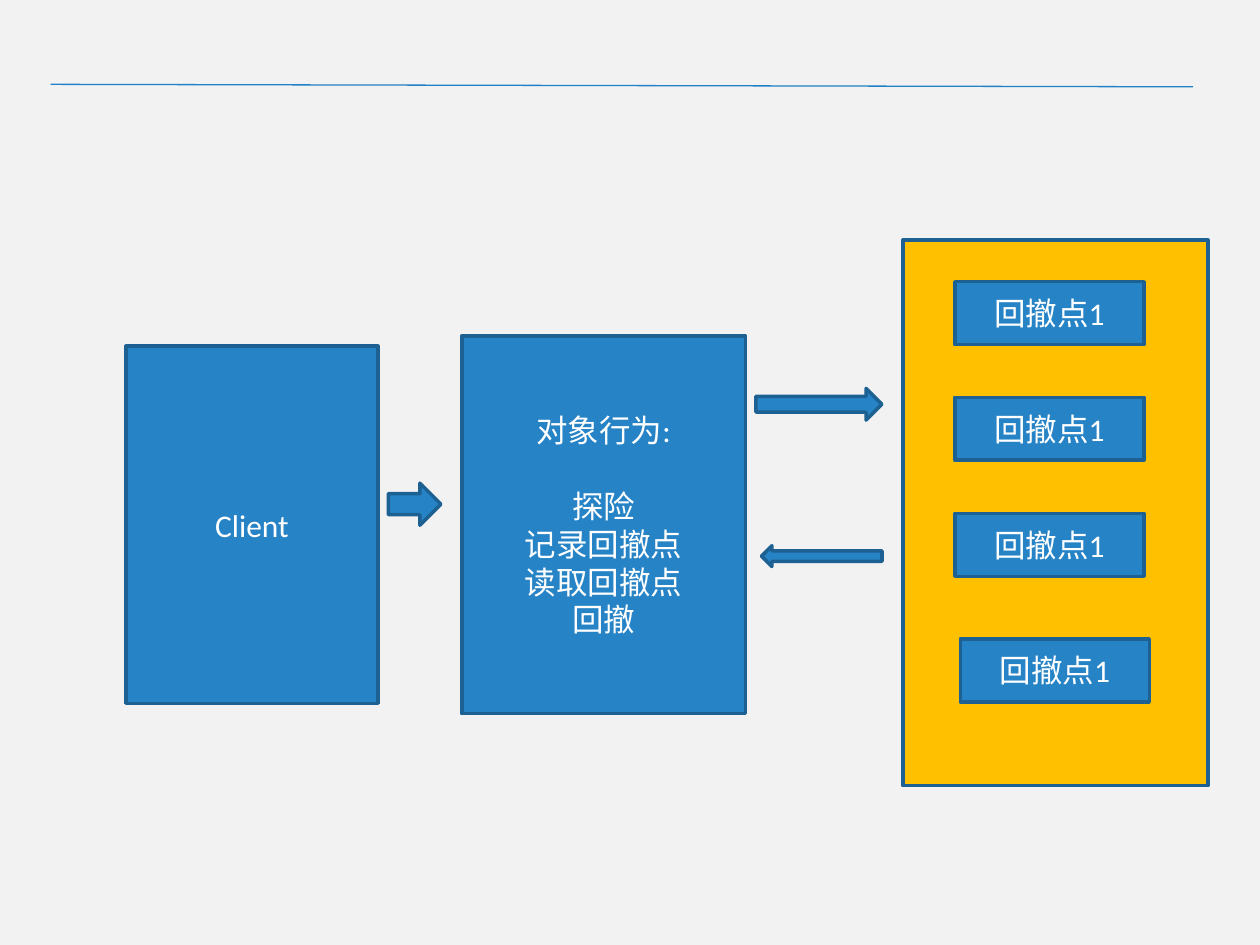
from pptx import Presentation
from pptx.dml.color import RGBColor
from pptx.enum.shapes import MSO_CONNECTOR, MSO_SHAPE
from pptx.enum.text import MSO_ANCHOR, PP_ALIGN
from pptx.oxml.ns import qn
from pptx.util import Cm, Pt
from lxml import etree

RECTANGLE, ARROW = MSO_SHAPE.RECTANGLE, MSO_SHAPE.RIGHT_ARROW
STRAIGHT = MSO_CONNECTOR.STRAIGHT
MIDDLE, CENTER = MSO_ANCHOR.MIDDLE, PP_ALIGN.CENTER

THEME = {
    "background": "F2F2F2", "rule": "2181C6", "fill": "2683C6",
    "outline": "1C6192", "store": "FFC000", "text": "FFFFFF",
    "font": "Calibri", "size": 18, "outline_width": 2, "rule_width": 0.75,
}

# Content: places are left, top, width, height in centimetres
RULE = (1.02, 1.7, 24.05, 1.75)
CLIENT = ("Client", (2.54, 6.98, 5.08, 7.2))
ORIGINATOR_TITLE = "对象行为:"
ORIGINATOR_ACTIONS = ["探险", "记录回撤点", "读取回撤点", "回撤"]
ORIGINATOR_PLACE = (9.31, 6.77, 5.72, 7.62)
STORE_PLACE = (18.2, 4.84, 6.15, 11)
SAVE_POINT = "回撤点1"
SAVE_POINT_SIZE = (3.81, 1.27)
SAVE_POINT_CORNERS = [(19.25, 5.68), (19.25, 8.01), (19.25, 10.35), (19.36, 12.88)]
ARROWS = [  # place, rotation
    ((15.24, 7.83, 2.54, 0.64), 0),
    ((15.35, 11, 2.43, 0.42), 180),
    ((7.83, 9.74, 1.06, 0.85), 0),
]


def color(name):
    return RGBColor.from_string(THEME[name])


def add_block(page, place, kind=RECTANGLE, fill="fill", rotation=0):
    block = page.shapes.add_shape(kind, *map(Cm, place))
    block.shadow.inherit = False
    block.rotation = rotation
    block.fill.solid()
    block.fill.fore_color.rgb = color(fill)
    block.line.color.rgb = color("outline")
    block.line.width = Pt(THEME["outline_width"])
    return block


def write(para, text, space_before=0):
    para.alignment = CENTER
    para.space_before = Pt(space_before)
    span = para.add_run()
    span.text = text
    span.font.name = THEME["font"]
    span.font.size = Pt(THEME["size"])
    span.font.color.rgb = color("text")


def add_labelled_block(page, place, text):
    block = add_block(page, place)
    frame = block.text_frame
    frame.vertical_anchor = MIDDLE
    write(frame.paragraphs[0], text)
    return frame


def add_rule(page):
    rule = page.shapes.add_connector(STRAIGHT, *map(Cm, RULE))
    rule.line.color.rgb = color("rule")
    rule.line.width = Pt(THEME["rule_width"])
    etree.SubElement(rule.element.spPr, qn("a:effectLst"))


def main():
    deck = Presentation()
    deck.slide_width, deck.slide_height = Cm(25.4), Cm(19.05)
    page = deck.slides.add_slide(deck.slide_layouts[6])
    page.background.fill.solid()
    page.background.fill.fore_color.rgb = color("background")
    add_rule(page)

    # Client and originator
    client_text, client_place = CLIENT
    add_labelled_block(page, client_place, client_text)
    frame = add_labelled_block(page, ORIGINATOR_PLACE, ORIGINATOR_TITLE)
    for index, action in enumerate(ORIGINATOR_ACTIONS):
        # The first action stands one line below the title
        write(frame.add_paragraph(), action,
              space_before=0 if index else THEME["size"] * 1.2)

    # Store with its save points
    add_block(page, STORE_PLACE, fill="store")
    for corner in SAVE_POINT_CORNERS:
        add_labelled_block(page, corner + SAVE_POINT_SIZE, SAVE_POINT)

    # Arrows between the parts
    for place, rotation in ARROWS:
        add_block(page, place, kind=ARROW, rotation=rotation)

    deck.save("out.pptx")


if __name__ == "__main__":
    main()
